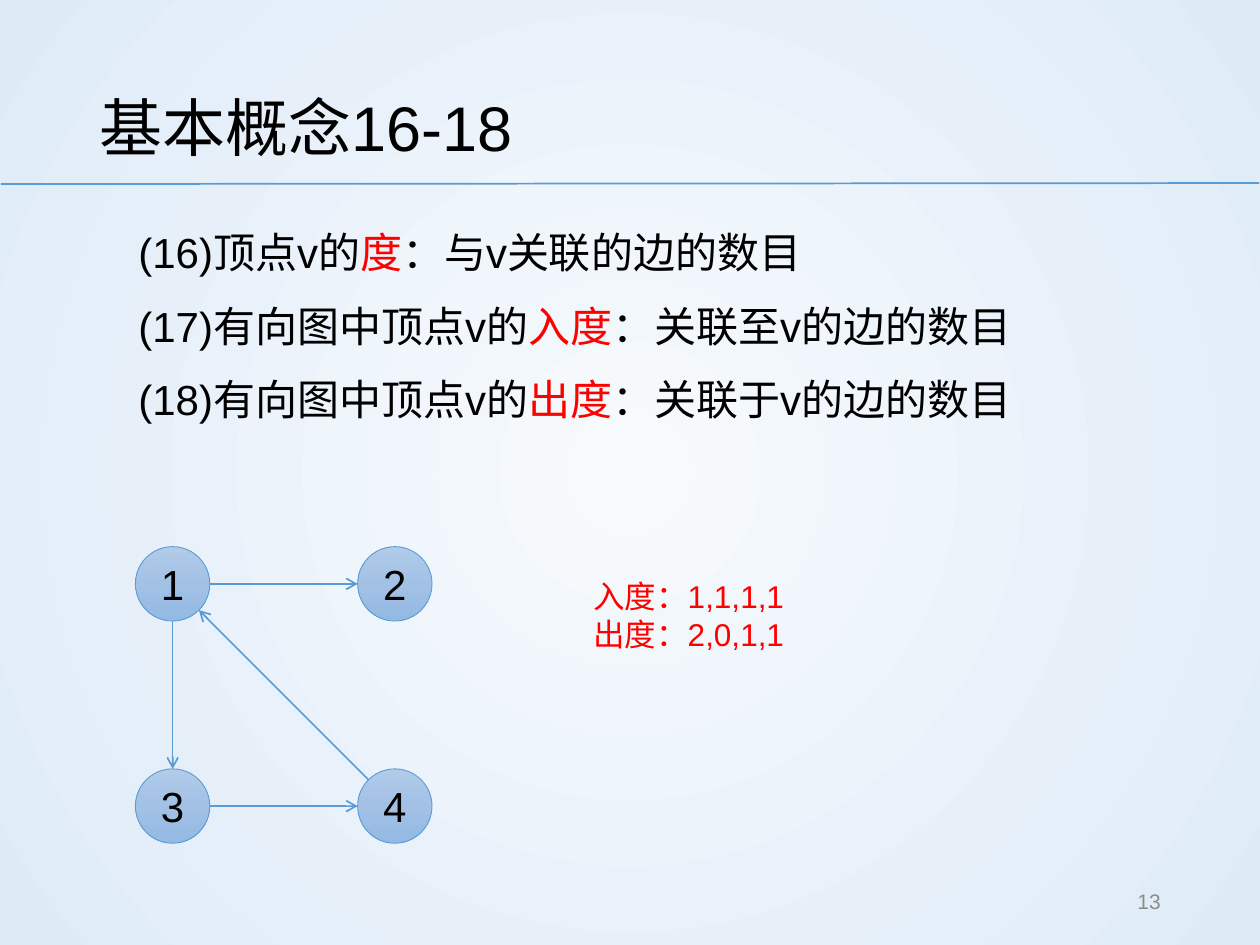
from dataclasses import dataclass
from math import hypot

from pptx import Presentation
from pptx.dml.color import RGBColor as RGB
from pptx.enum.shapes import MSO_CONNECTOR as LINK, MSO_SHAPE as FORM
from pptx.enum.text import MSO_ANCHOR as ANCHOR, MSO_AUTO_SIZE as FIT, PP_ALIGN as ALIGN
from pptx.oxml import parse_xml
from pptx.oxml.ns import nsdecls, qn
from pptx.oxml.xmlchemy import OxmlElement as Elem
from pptx.util import Cm, Pt


@dataclass(frozen=True)
class Theme:
    font: str = "Arial"
    ink: str = "000000"
    red: str = "FF0000"
    gray: str = "8C8C8C"
    blue: str = "5B9BD5"
    back: tuple = ((0, "F7FAFD"), (100, "DEEBF7"))
    node: tuple = ((0, "B1CBE9"), (50, "A3C1E5"), (100, "93B9E4"))
    head: int = 36
    body: int = 24
    note: int = 18
    foot: int = 12


RADIAL = '<a:path path="circle"><a:fillToRect l="50000" t="50000" r="50000" b="50000"/></a:path>'
DOWN = '<a:lin ang="5400000" scaled="0"/>'


def apply(item, form):
    for key, value in form.items():
        setattr(item, key, value)


def blend(fill, root, stops, mode):
    """Give the fill a gradient with any number of stops; root is the element that holds it."""
    fill.gradient()
    old = next(root.iter(qn("a:gradFill")))
    marks = "".join(
        f'<a:gs pos="{pos * 1000}"><a:srgbClr val="{tint}"/></a:gs>' for pos, tint in stops
    )
    new = parse_xml(
        f'<a:gradFill {nsdecls("a")} rotWithShape="1"><a:gsLst>{marks}</a:gsLst>{mode}</a:gradFill>'
    )
    old.getparent().replace(old, new)


class Deck:
    """Holds the theme and the current slide, and draws each kind of element."""

    def __init__(self, slide, theme):
        self.slide, self.theme = slide, theme
        self.shapes = slide.shapes
        blend(slide.background.fill, slide.element, theme.back, RADIAL)

    def put(self, frame, lines, size, color, form=None, hang=0):
        """Fill a frame; each line is a list of (text, color) runs or one string."""
        for i, line in enumerate(lines):
            para = frame.add_paragraph() if i else frame.paragraphs[0]
            apply(para, form or {})
            if hang:
                props = para._p.get_or_add_pPr()
                props.set("marL", str(Cm(hang)))
                props.set("indent", str(-Cm(hang)))
            for text, tint in [(line, color)] if isinstance(line, str) else line:
                run = para.add_run()
                run.text = text
                apply(run.font, {"name": self.theme.font, "size": Pt(size)})
                run.font.color.rgb = RGB.from_string(tint)

    def title(self, box, text):
        shape = self.shapes.title
        apply(shape, dict(zip(("left", "top", "width", "height"), map(Cm, box))))
        apply(shape.text_frame, {"vertical_anchor": ANCHOR.MIDDLE, "auto_size": FIT.NONE})
        form = {"alignment": ALIGN.LEFT, "line_spacing": 1.2}
        self.put(shape.text_frame, [text], self.theme.head, self.theme.ink, form)

    def text(self, box, lines, size, color, form=None, hang=0, anchor=ANCHOR.TOP):
        frame = self.shapes.add_textbox(*map(Cm, box)).text_frame
        apply(frame, {"word_wrap": True, "vertical_anchor": anchor})
        self.put(frame, lines, size, color, form, hang)

    def stroke(self, line, width):
        line.color.rgb = RGB.from_string(self.theme.blue)
        line.width = Pt(width)

    def node(self, mid, size, text):
        x, y = (part - size / 2 for part in mid)
        shape = self.shapes.add_shape(FORM.OVAL, Cm(x), Cm(y), Cm(size), Cm(size))
        shape.shadow.inherit = False
        blend(shape.fill, shape._element, self.theme.node, DOWN)
        self.stroke(shape.line, 0.5)
        sides = ("left", "top", "right", "bottom")
        apply(shape.text_frame, {f"margin_{side}": 0 for side in sides})
        shape.text_frame.vertical_anchor = ANCHOR.MIDDLE
        form = {"alignment": ALIGN.CENTER}
        self.put(shape.text_frame, [text], self.theme.body, self.theme.ink, form)

    def line(self, start, end, arrow=False):
        link = self.shapes.add_connector(LINK.STRAIGHT, *map(Cm, (*start, *end)))
        self.stroke(link.line, 1)
        if arrow:
            tip = Elem("a:tailEnd")
            tip.set("type", "arrow")
            link.line._get_or_add_ln().append(tip)
        link._element.spPr.append(Elem("a:effectLst"))

    def edge(self, start, end, size):
        """Draw an arrow from rim to rim of two nodes, given their centres."""
        dx, dy = end[0] - start[0], end[1] - start[1]
        part = size / 2 / hypot(dx, dy)
        sx, sy = dx * part, dy * part
        self.line((start[0] + sx, start[1] + sy), (end[0] - sx, end[1] - sy), True)


def main():
    show = Presentation()
    apply(show, {"slide_width": Cm(25.4), "slide_height": Cm(19.05)})
    theme = Theme()
    deck = Deck(show.slides.add_slide(show.slide_layouts[5]), theme)

    deck.line((0.02, 3.71), (25.38, 3.69))
    deck.title((1.75, 1.02, 21.9, 2.74), "基本概念16-18")

    terms = (
        ("(16)顶点v的", "度", "：与v关联的边的数目"),
        ("(17)有向图中顶点v的", "入度", "：关联至v的边的数目"),
        ("(18)有向图中顶点v的", "出度", "：关联于v的边的数目"),
    )
    tints = (theme.ink, theme.red, theme.ink)
    deck.text(
        (2.54, 4.24, 21.62, 12.7), [list(zip(term, tints)) for term in terms],
        theme.body, theme.ink, {"line_spacing": 1.2, "space_before": Pt(7.5)}, hang=0.48,
    )

    size, step, left, top = 1.5, 4.48, 3.48, 11.77
    nodes = {
        row * 2 + col + 1: (left + col * step, top + row * step)
        for row in range(2) for col in range(2)
    }
    for name, mid in nodes.items():
        deck.node(mid, size, str(name))
    for a, b in ((1, 2), (1, 3), (3, 4), (4, 1)):
        deck.edge(nodes[a], nodes[b], size)

    deck.text((11.71, 11.51, 10.46, 1.8), ["入度：1,1,1,1", "出度：2,0,1,1"], theme.note, theme.red)
    deck.text(
        (17.93, 17.65, 5.72, 1.02), ["13"], theme.foot, theme.gray,
        {"alignment": ALIGN.RIGHT}, anchor=ANCHOR.MIDDLE,
    )
    show.save("out.pptx")


if __name__ == "__main__":
    main()
